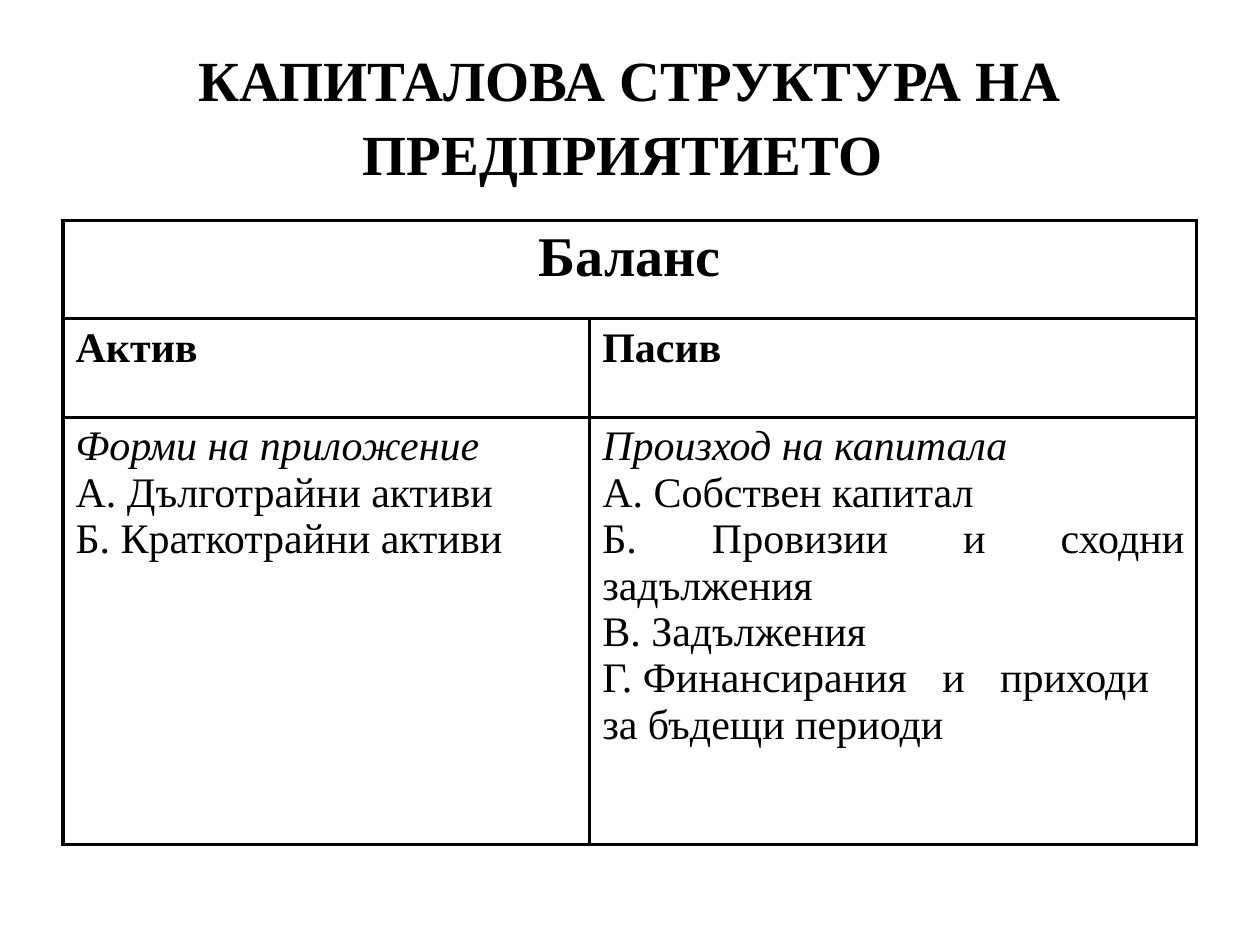
from dataclasses import dataclass
from typing import Any

from lxml.etree import SubElement as add_element
from pptx import Presentation
from pptx.dml.color import RGBColor
from pptx.enum.text import MSO_ANCHOR as Anchor, MSO_AUTO_SIZE as AutoSize, PP_ALIGN as Align
from pptx.oxml.ns import qn
from pptx.util import Inches, Pt

BLACK = RGBColor(0, 0, 0)
WHITE = RGBColor(255, 255, 255)

ROW_HEIGHTS = (0.78, 0.78, 3.39)
COLUMN_WIDTHS = (4.18, 4.82)
ASSETS = ("Форми на приложение", "А. Дълготрайни активи", "Б. Краткотрайни активи")
LIABILITIES = (
    "Произход на капитала",
    "А. Собствен капитал",
    "Б. Провизии и сходни задължения",
    "В. Задължения",
    "Г.\u00a0Финансирания и приходи \vза бъдещи периоди",
)


def write(para, text, size=24, font="Times New Roman", bold=False, italic=False, align=Align.LEFT):
    """Add text to a paragraph, turning vertical tabs into line breaks."""
    para.alignment = align
    for index, line in enumerate(text.split("\v")):
        if index:
            para.add_line_break()
        span = para.add_run()
        span.text = line
        style = span.font
        style.name, style.size = font, Pt(size)
        style.bold, style.italic = bold, italic
        style.color.rgb = BLACK


@dataclass
class BalanceSlide:
    """Holds the style and the current slide."""

    page: Any
    border: float = 2

    def title(self, text):
        """Format the title placeholder."""
        box = self.page.shapes.title
        box.left, box.top, box.width, box.height = map(Inches, (0.5, 0.3, 9, 1.25))
        frame = box.text_frame
        frame.word_wrap, frame.auto_size = True, AutoSize.NONE
        frame.vertical_anchor = Anchor.MIDDLE
        para = frame.paragraphs[0]
        write(para, text, size=32.4, bold=True, align=Align.CENTER)
        write(para, " ", size=36, font="Calibri", align=Align.CENTER)

    def table(self, left, top):
        """Add the plain bordered table grid."""
        area = map(Inches, (left, top, sum(COLUMN_WIDTHS), sum(ROW_HEIGHTS)))
        grid = self.page.shapes.add_table(len(ROW_HEIGHTS), len(COLUMN_WIDTHS), *area).table
        grid.first_row = grid.horz_banding = False
        for column, width in zip(grid.columns, COLUMN_WIDTHS):
            column.width = Inches(width)
        for row, height in zip(grid.rows, ROW_HEIGHTS):
            row.height = Inches(height)
            for cell in row.cells:
                self.outline(cell)
        grid.cell(0, 0).merge(grid.cell(0, 1))
        return grid

    def outline(self, cell):
        """Give a cell four borders and a white fill."""
        properties = cell._tc.get_or_add_tcPr()
        for side in ("a:lnL", "a:lnR", "a:lnT", "a:lnB"):
            line = add_element(properties, qn(side), w=str(Pt(self.border)))
            fill = add_element(line, qn("a:solidFill"))
            add_element(fill, qn("a:srgbClr"), val=str(BLACK))
        cell.fill.solid()
        cell.fill.fore_color.rgb = WHITE

    def listing(self, cell, lines):
        """Write justified lines under an italic heading."""
        frame = cell.text_frame
        for index, text in enumerate(lines):
            para = frame.add_paragraph() if index else frame.paragraphs[0]
            write(para, text, italic=index == 0, align=Align.JUSTIFY)


def main():
    """Build the deck and save it."""
    deck = Presentation()
    deck.slide_width, deck.slide_height = Inches(10), Inches(7.5)
    slide = BalanceSlide(deck.slides.add_slide(deck.slide_layouts[5]))
    slide.title("КАПИТАЛОВА СТРУКТУРА НА ПРЕДПРИЯТИЕТО")
    grid = slide.table(0.5, 1.75)
    heading = grid.cell(0, 0).text_frame.paragraphs[0]
    write(heading, "Баланс", size=32, bold=True, align=Align.CENTER)
    for column, (name, lines) in enumerate((("Актив", ASSETS), ("Пасив", LIABILITIES))):
        write(grid.cell(1, column).text_frame.paragraphs[0], name, bold=True)
        slide.listing(grid.cell(2, column), lines)
    deck.save("out.pptx")


if __name__ == "__main__":
    main()
